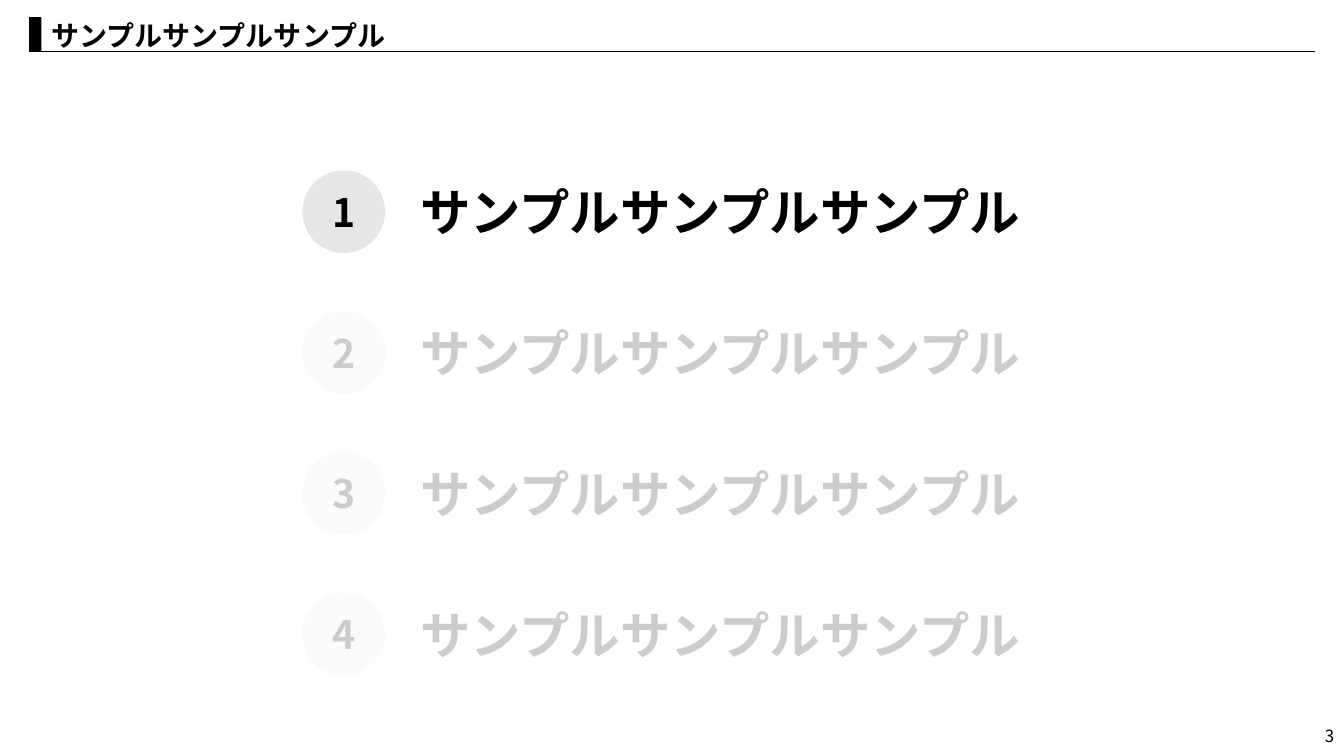
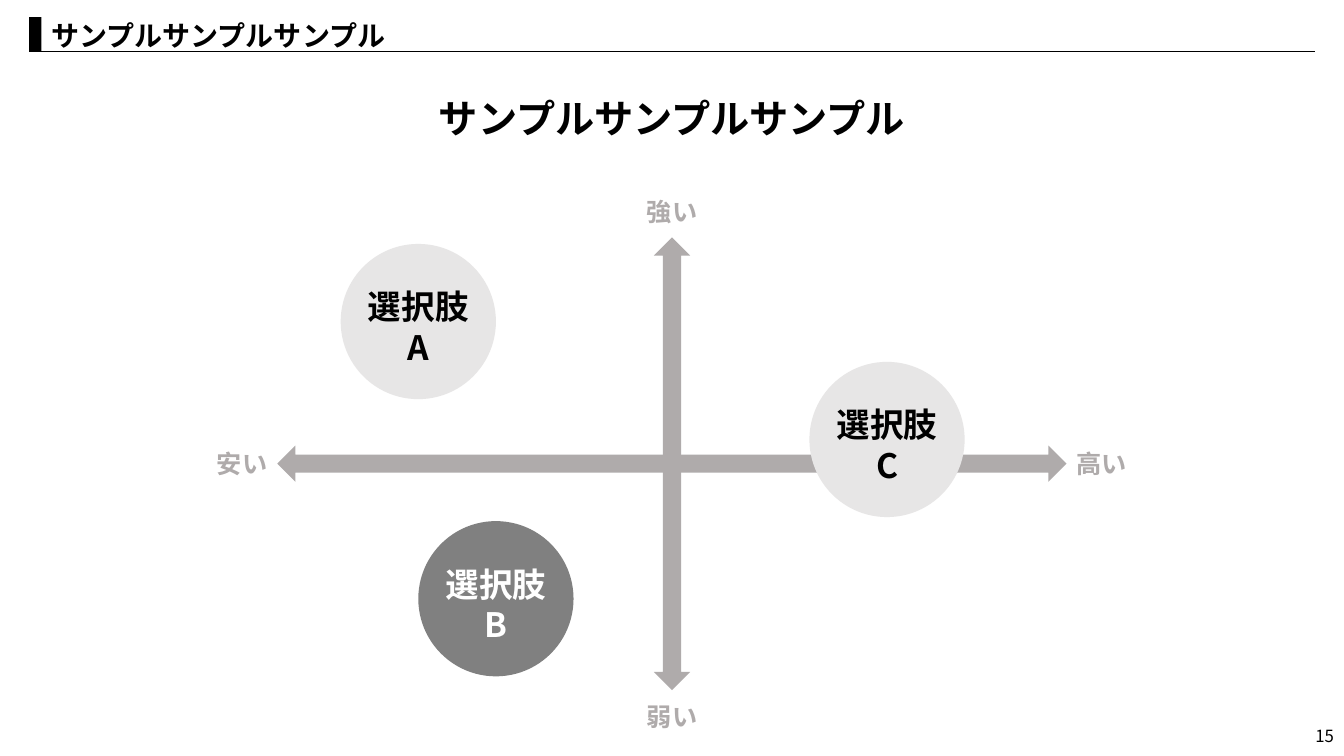
import pptx
import pptx.util
import pptx.dml.color
import pptx.enum.shapes
import pptx.enum.text
import pptx.oxml.ns
import lxml.etree

CELL = pptx.util.Inches(0.1)
COLUMNS, ROWS = 133.33, 75
FONT = "Noto Sans CJK JP"
COLORS = {
    "ink": "000000",
    "paper": "FFFFFF",
    "circle": "E7E6E6",
    "axis": "AFABAB",
    "accent": "808080",
}
SAMPLE = "サンプルサンプルサンプル"
LEFT_EDGE, RULE_ROW = 2.9, 5.1

SHAPES = pptx.enum.shapes.MSO_SHAPE
ALIGN = pptx.enum.text.PP_ALIGN
ANCHOR = pptx.enum.text.MSO_ANCHOR
AUTO_SIZE = pptx.enum.text.MSO_AUTO_SIZE


def cells(*counts):
    return [round(count * CELL) for count in counts]


def centered(column, row, width, height):
    return column - width / 2, row - height / 2, width, height


def color(name):
    return pptx.dml.color.RGBColor.from_string(COLORS[name])


def add_child(parent, tag, **attributes):
    return lxml.etree.SubElement(parent, pptx.oxml.ns.qn(tag), attributes)


def write(box, lines, size, ink="ink", bold=True, align=ALIGN.LEFT):
    frame = box.text_frame
    frame.text = "\n".join(lines)
    for para in frame.paragraphs:
        para.alignment = align
        font = para.font
        font.size = pptx.util.Pt(size)
        font.bold = bold
        font.name = FONT
        font.color.rgb = color(ink)
        add_child(para._p.pPr.find(pptx.oxml.ns.qn("a:defRPr")), "a:ea", typeface=FONT)


def add_text(page, area, lines, size, wrap=False, grow=True, **style):
    box = page.shapes.add_textbox(*cells(*area))
    write(box, lines, size, **style)
    frame = box.text_frame
    frame.word_wrap = wrap
    if grow:
        frame.auto_size = AUTO_SIZE.SHAPE_TO_FIT_TEXT
    else:
        frame.vertical_anchor = ANCHOR.MIDDLE


def add_figure(page, kind, area, fill):
    figure = page.shapes.add_shape(kind, *cells(*area))
    figure.shadow.inherit = False
    figure.fill.solid()
    figure.fill.fore_color.rgb = color(fill)
    figure.line.fill.background()
    return figure


def add_rule(page):
    rule = page.shapes.add_connector(
        pptx.enum.shapes.MSO_CONNECTOR.STRAIGHT,
        *cells(LEFT_EDGE, RULE_ROW, COLUMNS - LEFT_EDGE, RULE_ROW))
    rule.line.color.rgb = color("ink")
    rule.line.width = pptx.util.Pt(0.5)
    add_child(rule._element.spPr, "a:effectLst")


def add_page(deck, title, number):
    page = deck.slides.add_slide(deck.slide_layouts[6])
    add_text(page, (COLUMNS - 30, ROWS - 4, 30, 4), [str(number)], 12,
             wrap=True, grow=False, bold=False, align=ALIGN.RIGHT)
    add_rule(page)
    add_text(page, (4.1, 1.3, 126.8, 4.4), [title], 20, wrap=True)
    add_figure(page, SHAPES.RECTANGLE, (LEFT_EDGE, 1.7, 1.2, 3.4), "ink")
    return page


def add_agenda_item(page, number, text):
    top = 16.9 + (number - 1) * 13.97
    circle = add_figure(page, SHAPES.OVAL, (30, top, 8.2, 8.2), "circle")
    write(circle, [str(number)], 28, align=ALIGN.CENTER)
    circle.text_frame.vertical_anchor = ANCHOR.MIDDLE
    add_text(page, (40.7, top + 0.6, 62.6, 7.1), [text], 36)


def add_veil(page, area, opacity):
    veil = add_figure(page, SHAPES.RECTANGLE, area, "paper")
    shade = veil._element.spPr.find(".//" + pptx.oxml.ns.qn("a:srgbClr"))
    add_child(shade, "a:alpha", val=str(opacity * 1000))


def add_axis(page, center, length, rotation=0):
    arrow = add_figure(page, SHAPES.LEFT_RIGHT_ARROW,
                       centered(*center, length, 3.6), "axis")
    arrow.rotation = rotation


def add_axis_label(page, column, row, text):
    add_text(page, centered(column, row, 7.1, 4), [text], 18,
             ink="axis", align=ALIGN.CENTER)


def add_option(page, column, row, letter, fill, ink):
    add_figure(page, SHAPES.OVAL, centered(column, row, 15.4, 15.4), fill)
    add_text(page, centered(column, row + 0.55, 12.1, 9.1), ["選択肢", letter], 24,
             ink=ink, align=ALIGN.CENTER)


def build_agenda(deck):
    page = add_page(deck, SAMPLE, 3)
    for number in range(1, 5):
        add_agenda_item(page, number, SAMPLE)
    add_veil(page, (25.5, 28.7, 83.7, 42.3), 80)


def build_positioning_map(deck):
    page = add_page(deck, SAMPLE, 15)
    middle, level = COLUMNS / 2, 46
    across, down = 78.3, 44.9
    add_text(page, centered(middle, 11.75, 49.1, 5.7), [SAMPLE], 28, align=ALIGN.CENTER)
    add_axis(page, (middle, level), across)
    add_axis(page, (middle, level), down, rotation=90)

    reach, rise = across / 2 + 3.5, down / 2 + 2.6
    for column, row, text in [
        (middle, level - rise, "強い"),
        (middle, level + rise, "弱い"),
        (middle - reach, level, "安い"),
        (middle + reach, level, "高い"),
    ]:
        add_axis_label(page, column, row, text)

    for option in [
        (41.5, 31.9, "A", "circle", "ink"),
        (88, 43.6, "C", "circle", "ink"),
        (49.2, 59.4, "B", "accent", "paper"),
    ]:
        add_option(page, *option)


def main():
    deck = pptx.Presentation()
    deck.slide_width, deck.slide_height = cells(COLUMNS, ROWS)
    build_agenda(deck)
    build_positioning_map(deck)
    deck.save("out.pptx")


if __name__ == "__main__":
    main()
